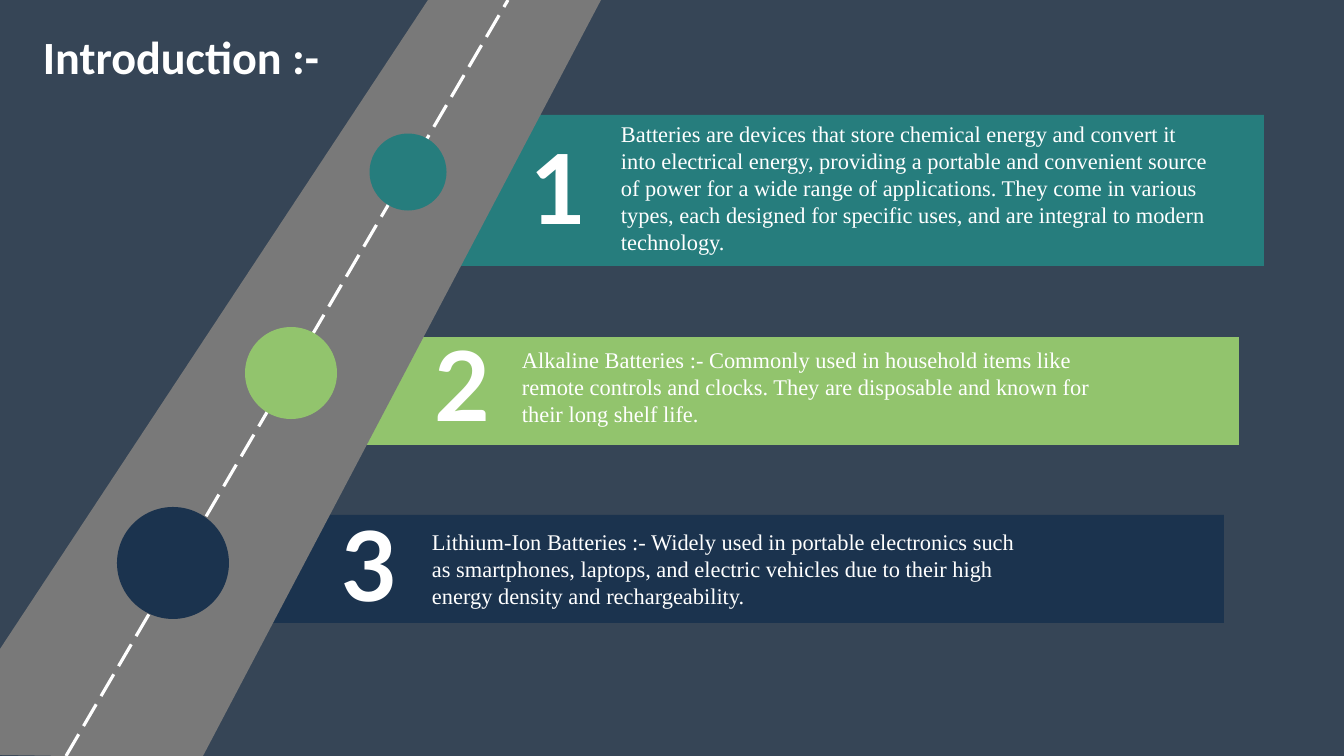
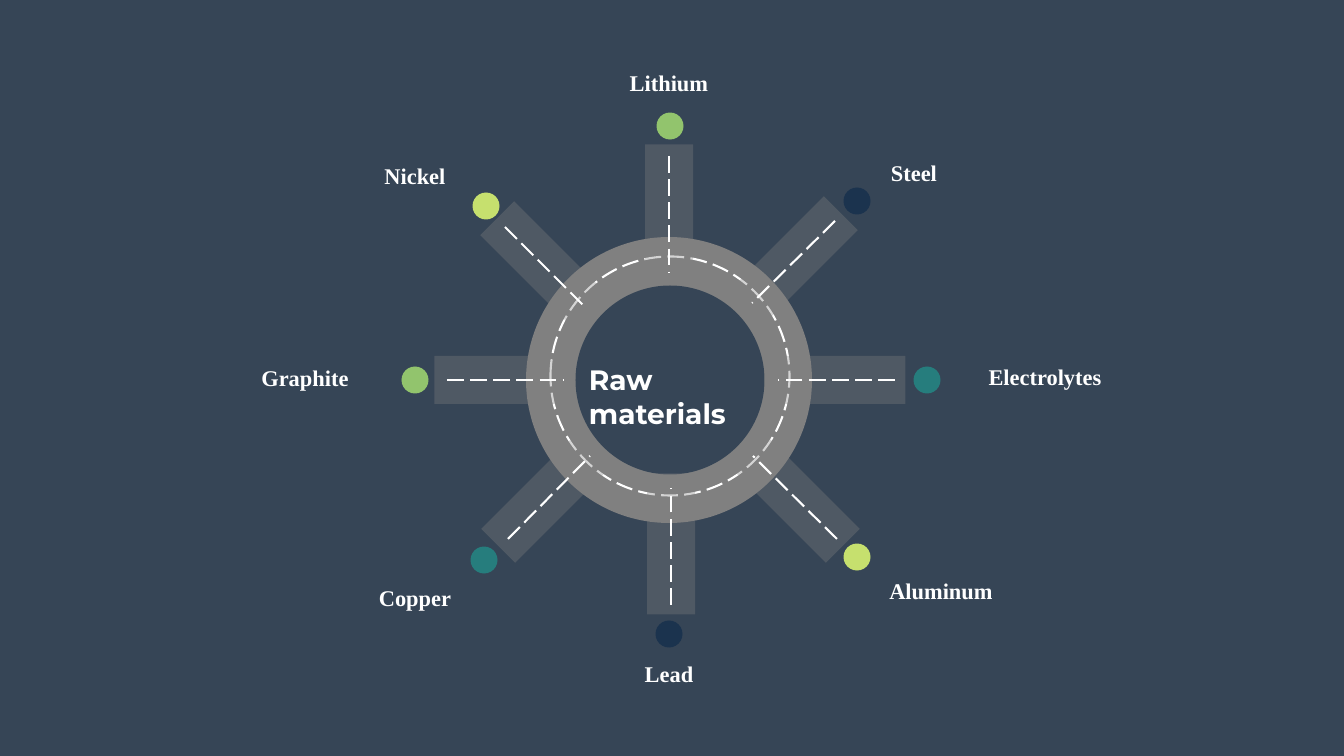
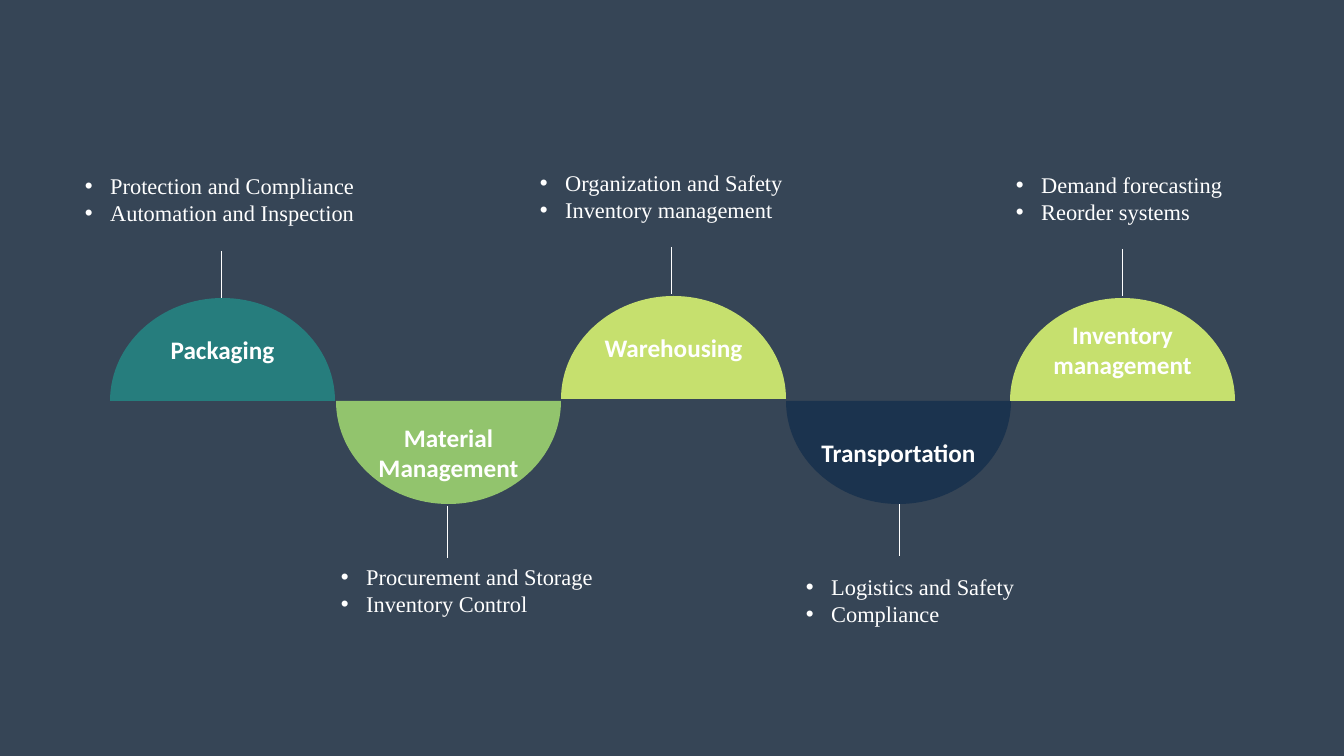
import math

import pptx
import pptx.dml.color
import pptx.enum.dml
import pptx.enum.shapes
import pptx.enum.text
import pptx.oxml.ns
import pptx.util
from lxml import etree

RGB = pptx.dml.color.RGBColor
SLATE = RGB(0x36, 0x45, 0x56)
WHITE = RGB(0xFF, 0xFF, 0xFF)
TEAL = RGB(0x26, 0x7D, 0x7D)
GREEN = RGB(0x92, 0xC4, 0x6D)
LIME = RGB(0xC6, 0xE0, 0x6E)
NAVY = RGB(0x1B, 0x33, 0x4E)
ROAD_GREY = RGB(0x79, 0x79, 0x79)
RING_GREY = RGB(0x80, 0x80, 0x80)
SERIF = "Times New Roman"
ALIGN = pptx.enum.text.PP_ALIGN
LONG_DASH = pptx.enum.dml.MSO_LINE.LONG_DASH
EMU_PER_PX = 914400 / 50.4

# Slide 1: road polygon, centre line and three milestones
ROAD = [(428, 0), (0, 649), (0, 755), (66, 756), (203, 756), (601, 0)]
ROAD_LINE = (66, 756, 508, 0)
# colour, band box, (centre x, centre y, diameter), number corner, text box, text
MILESTONES = [
    (TEAL, (420, 115, 844, 151), (408, 172, 77), (526, 125), (616, 118, 603, 141),
     "Batteries are devices that store chemical energy and convert it into electrical "
     "energy, providing a portable and convenient source of power for a wide range of "
     "applications. They come in various types, each designed for specific uses, and "
     "are integral to modern technology."),
    (GREEN, (363, 337, 876, 108), (291, 373, 92), (430, 322), (517, 344, 603, 87),
     "Alkaline Batteries :- Commonly used in household items like remote controls and "
     "clocks. They are disposable and known for their long shelf life."),
    (NAVY, (262, 515, 962, 108), (173, 563, 112), (337, 502), (427, 526, 603, 87),
     "Lithium-Ion Batteries :- Widely used in portable electronics such as smartphones, "
     "laptops, and electric vehicles due to their high energy density and "
     "rechargeability."),
]

# Slide 2: name, angle, spoke centre, lane line, dot centre, dot colour, label corner
SPOKES = [
    ("Lithium", 270, (669, 215), (669, 156, 669, 273), (670, 126), GREEN, (563, 67)),
    ("Steel", 315, (791, 263), (835, 221, 752, 303), (857, 201), NAVY, (808, 157)),
    ("Electrolytes", 0, (835, 380), (895, 380, 778, 380), (927, 380), TEAL, (939, 361)),
    ("Aluminum", 45, (793, 496), (837, 539, 753, 456), (857, 557), LIME, (835, 575)),
    ("Lead", 90, (671, 544), (671, 605, 671, 488), (669, 634), NAVY, (563, 658)),
    ("Copper", 135, (548, 496), (508, 539, 590, 456), (484, 560), TEAL, (309, 582)),
    ("Graphite", 180, (505, 380), (447, 380, 563, 380), (415, 380), GREEN, (199, 362)),
    ("Nickel", 225, (547, 268), (505, 227, 584, 306), (486, 206), LIME, (309, 160)),
]
SPOKE_LENGTH, SPOKE_WIDTH = 141, 48

# Slide 3: label lines, colour, (left, baseline), stem (x, top, bottom),
# bullet box (left, top, width), bullets
ARCHES = [
    (["Packaging"], TEAL, (110, 401), (221, 251, 298), (80, 170, 304),
     ["Protection and Compliance", "Automation and Inspection"]),
    (["Material", "Management"], GREEN, (336, 401), (447, 506, 558), (336, 561, 281),
     ["Procurement and Storage", "Inventory Control"]),
    (["Warehousing"], LIME, (561, 399), (671, 247, 294), (535, 167, 266),
     ["Organization and Safety", "Inventory management"]),
    (["Transportation"], NAVY, (786, 401), (899, 504, 556), (801, 571, 235),
     ["Logistics and Safety", "Compliance"]),
    (["Inventory", "management"], LIME, (1010, 401), (1122, 249, 296), (1011, 169, 225),
     ["Demand forecasting", "Reorder systems"]),
]
ARCH_WIDTH, ARCH_HEIGHT = 225, 103
CURVE = 0.55  # handle length of a quarter ellipse


def px(value):
    return pptx.util.Emu(round(value * EMU_PER_PX))


def qn(tag):
    return pptx.oxml.ns.qn(tag)


def new_page(deck):
    page = deck.slides.add_slide(deck.slide_layouts[6])
    page.background.fill.solid()
    page.background.fill.fore_color.rgb = SLATE
    return page


def paint(shape, colour):
    shape.shadow.inherit = False
    shape.fill.solid()
    shape.fill.fore_color.rgb = colour
    shape.line.fill.background()
    return shape


def add_polygon(page, points, colour, opacity=None):
    corners = [(px(x), px(y)) for x, y in points]
    builder = page.shapes.build_freeform(*corners[0], scale=1.0)
    builder.add_line_segments(corners[1:], close=True)
    shape = paint(builder.convert_to_shape(), colour)
    if opacity:
        colour_node = shape._element.spPr.find(".//" + qn("a:srgbClr"))
        etree.SubElement(colour_node, qn("a:alpha")).set("val", str(opacity * 1000))
    return shape


def add_arch(page, left, base, height, colour):
    """Half ellipse: a triangle whose two slopes become quarter curves."""
    half = ARCH_WIDTH / 2
    corners = [(left + ARCH_WIDTH, base), (left + half, base + height), (left, base)]
    arch = add_polygon(page, corners, colour)
    slopes = arch._element.findall(".//" + qn("a:lnTo"))[:2]
    start, tip, end = [(px(x - left), px(y - base - min(height, 0))) for x, y in corners]

    def between(first, second, across, down):
        return (first[0] + across * (second[0] - first[0]),
                first[1] + down * (second[1] - first[1]))

    curves = [(between(start, tip, 0, CURVE), between(start, tip, 1 - (1 - CURVE), 1), tip),
              (between(tip, end, 1 - CURVE, 0), between(tip, end, 1, 1 - CURVE), end)]
    curves[0] = (curves[0][0], between(start, tip, 1 - CURVE, 1), tip)
    curves[1] = (between(tip, end, CURVE, 0), curves[1][1], end)
    for slope, curve in zip(slopes, curves):
        bezier = etree.Element(qn("a:cubicBezTo"))
        for x, y in curve:
            point = etree.SubElement(bezier, qn("a:pt"))
            point.set("x", str(round(x)))
            point.set("y", str(round(y)))
        slope.getparent().replace(slope, bezier)
    return arch


def add_circle(page, x, y, diameter, colour):
    kind = pptx.enum.shapes.MSO_SHAPE.OVAL
    size = px(diameter)
    circle = page.shapes.add_shape(
        kind, px(x - diameter / 2), px(y - diameter / 2), size, size)
    return paint(circle, colour)


def style_line(line, width, dash=None):
    line.color.rgb = WHITE
    line.width = pptx.util.Pt(width)
    if dash:
        line.dash_style = dash


def add_line(page, ends, width, dash=None):
    kind = pptx.enum.shapes.MSO_CONNECTOR.STRAIGHT
    connector = page.shapes.add_connector(kind, *[px(value) for value in ends])
    style_line(connector.line, width, dash)
    etree.SubElement(connector._element.spPr, qn("a:effectLst"))


def write(frame, lines, size, font, bold=False, align=ALIGN.LEFT, bullets=False):
    frame.text = "\n".join(lines)
    for para in frame.paragraphs:
        para.alignment = align
        para.font.size = pptx.util.Pt(size)
        para.font.name = font
        para.font.bold = bold
        para.font.color.rgb = WHITE
        if bullets:
            properties = para._p.get_or_add_pPr()
            properties.set("marL", "457200")
            properties.set("indent", "-457200")
            defaults = properties.find(qn("a:defRPr"))
            for tag, key, value in [("a:buFont", "typeface", "Arial"),
                                    ("a:buChar", "char", "•")]:
                bullet = etree.Element(qn(tag))
                bullet.set(key, value)
                defaults.addprevious(bullet)


def add_text(page, place, lines, size, font, **style):
    box = page.shapes.add_textbox(*[px(value) for value in place])
    box.text_frame.word_wrap = True
    write(box.text_frame, lines, size, font, **style)


def build_introduction(deck):
    page = new_page(deck)
    for colour, (left, top, width, height), *_ in MILESTONES:
        band = page.shapes.add_shape(pptx.enum.shapes.MSO_SHAPE.RECTANGLE,
                                     px(left), px(top), px(width), px(height))
        paint(band, colour)
    add_polygon(page, ROAD, ROAD_GREY)
    add_line(page, ROAD_LINE, 4.5, LONG_DASH)
    for colour, _, circle, *_ in reversed(MILESTONES):
        add_circle(page, *circle, colour)
    for number, (*_, corner, _, _) in enumerate(MILESTONES, 1):
        add_text(page, (*corner, 67, 122), [str(number)], 138, "Lato", bold=True)
    for *_, text_place, text in MILESTONES:
        add_text(page, text_place, [text], 32, SERIF)
    add_text(page, (38, 26, 288, 61), ["Introduction :-"], 66, "Calibri", bold=True)


def build_raw_materials(deck):
    page = new_page(deck)
    # Roundabout
    add_circle(page, 669, 380, 286, RING_GREY)
    lane = add_circle(page, 670, 376, 239, RING_GREY)
    lane.fill.background()
    style_line(lane.line, 3, LONG_DASH)
    add_circle(page, 670, 380, 189, SLATE)

    # Roads, each turned around its own centre
    end, side = SPOKE_LENGTH / 2, SPOKE_WIDTH / 2
    for _, angle, (x, y), *_ in SPOKES:
        cos, sin = math.cos(math.radians(angle)), math.sin(math.radians(angle))
        corners = [(x + along * cos - across * sin, y + along * sin + across * cos)
                   for along, across in [(end, side), (-end, side),
                                         (-end, -side), (end, -side)]]
        add_polygon(page, corners, RING_GREY, opacity=34)

    # Lane lines, dots and labels
    for _, _, _, lane_line, *_ in SPOKES:
        add_line(page, lane_line, 3, LONG_DASH)
    for *_, dot, colour, _ in SPOKES:
        add_circle(page, *dot, 27, colour)
    for name, *_, corner in SPOKES:
        add_text(page, (*corner, 212, 32), [name], 32, SERIF,
                 bold=True, align=ALIGN.CENTER)
    add_text(page, (584, 360, 177, 39), ["Raw materials"], 40, "Montserrat", bold=True)


def build_logistics(deck):
    page = new_page(deck)
    # Half ellipses alternate above and below the baseline
    for index, (label, colour, (left, base), *_) in enumerate(ARCHES):
        height = ARCH_HEIGHT if index % 2 else -ARCH_HEIGHT
        frame = add_arch(page, left, base, height, colour).text_frame
        frame.word_wrap = False
        frame.vertical_anchor = pptx.enum.text.MSO_ANCHOR.MIDDLE
        write(frame, label, 36, "Calibri", bold=True, align=ALIGN.CENTER)

    # Stems and bullets
    for *_, (x, top, bottom), _, _ in ARCHES:
        add_line(page, (x, top, x, bottom), 0.88)
    for *_, (left, top, width), bullets in ARCHES:
        add_text(page, (left, top, width, 59), bullets, 32, SERIF, bullets=True)


def main():
    deck = pptx.Presentation()
    deck.slide_width = px(1344)
    deck.slide_height = px(756)
    build_introduction(deck)
    build_raw_materials(deck)
    build_logistics(deck)
    deck.save("out.pptx")


if __name__ == "__main__":
    main()
